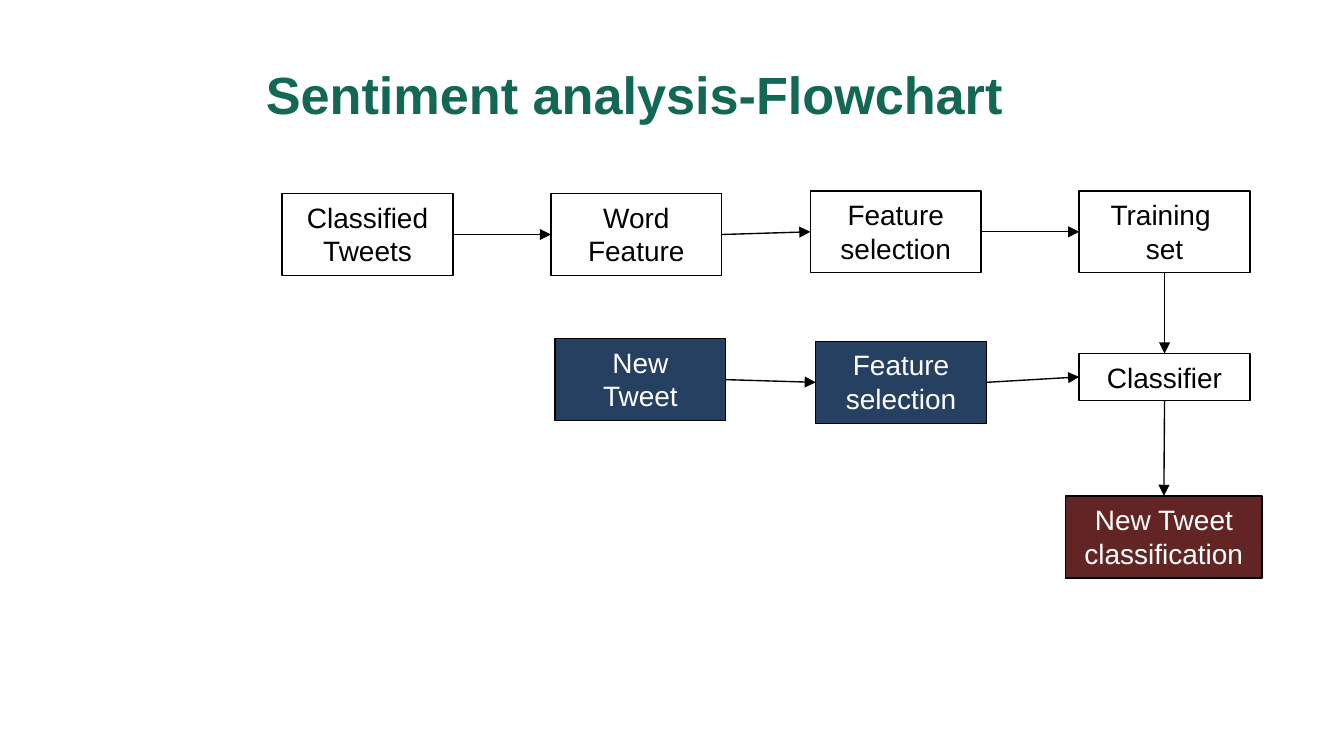
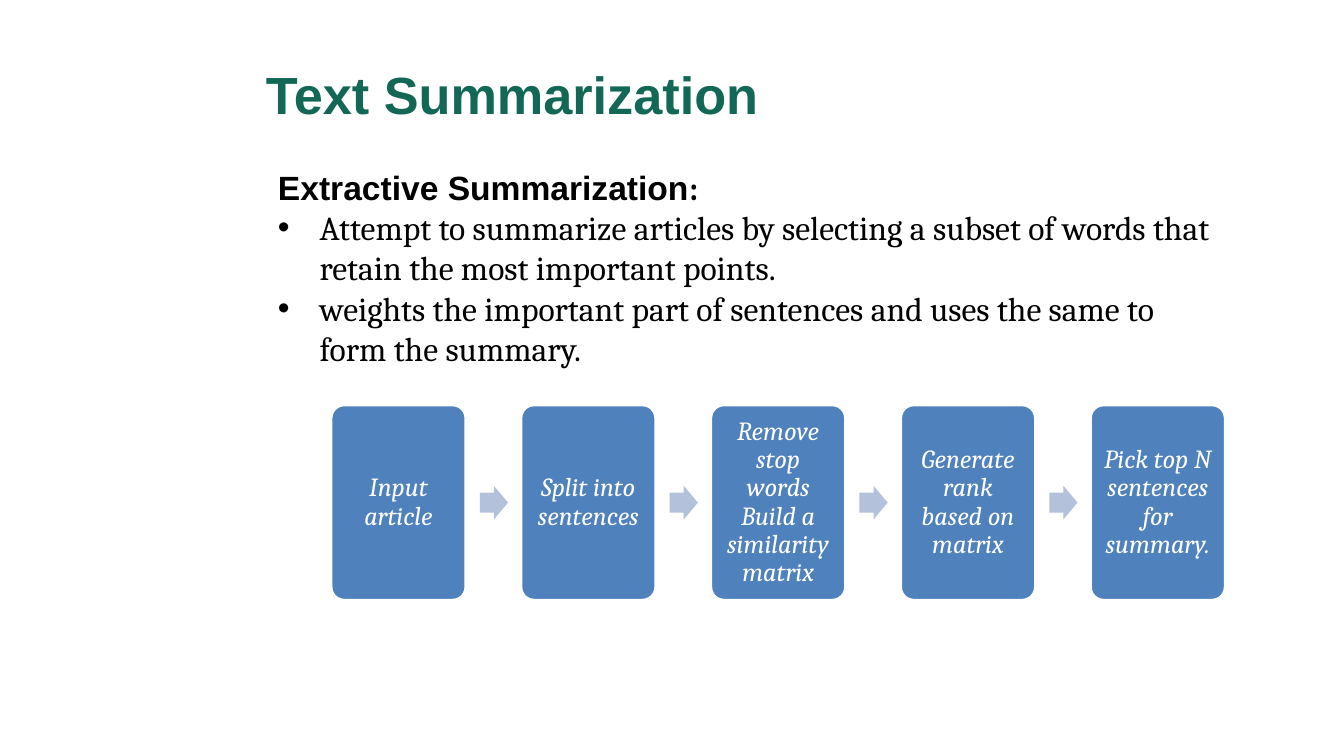
from dataclasses import dataclass
from lxml.etree import SubElement
from pptx import Presentation
from pptx.dml.color import RGBColor
from pptx.enum.shapes import MSO_CONNECTOR, MSO_SHAPE
from pptx.enum.text import MSO_ANCHOR, MSO_AUTO_SIZE, PP_ALIGN
from pptx.oxml.ns import qn
from pptx.util import Inches, Pt


@dataclass(frozen=True)
class Theme:
    green: str = "136855"
    black: str = "000000"
    white: str = "FFFFFF"
    navy: str = "254061"
    wine: str = "632523"
    blue: str = "4F81BD"
    pale: str = "B3C1DB"
    sans: str = "Arial"
    serif: str = "Cambria"
    title: float = 28
    body: float = 18
    node: float = 15
    card: float = 14


T = Theme()
TOP, LEFT, BOTTOM, RIGHT = range(4)


def color(code):
    return RGBColor.from_string(code)


def add_run(para, text, size, font, tint, bold=False, italic=False):
    run = para.add_run()
    run.text = text
    run.font.size = Pt(size)
    run.font.name = font
    run.font.color.rgb = color(tint)
    run.font.bold = bold
    run.font.italic = italic


def next_para(frame, first):
    return frame.paragraphs[0] if first else frame.add_paragraph()


def add_text(slide, box):
    frame = slide.shapes.add_textbox(*map(Inches, box)).text_frame
    frame.word_wrap = True
    return frame


def add_block(slide, kind, box, fill=None, line=None, width=0.75):
    shape = slide.shapes.add_shape(kind, *map(Inches, box))
    shape.shadow.inherit = False
    if fill:
        shape.fill.solid()
        shape.fill.fore_color.rgb = color(fill)
    else:
        shape.fill.background()
    if line:
        shape.line.color.rgb = color(line)
        shape.line.width = Pt(width)
    else:
        shape.line.fill.background()
    return shape


def add_title(slide, text, box=(1.88, 0.23, 7.62, 0.94)):
    frame = add_text(slide, box)
    frame.vertical_anchor = MSO_ANCHOR.MIDDLE
    add_run(frame.paragraphs[0], text, T.title, T.sans, T.green, bold=True)


def add_node(slide, box, lines, fill):
    shape = add_block(slide, MSO_SHAPE.RECTANGLE, box, fill, T.black)
    frame = shape.text_frame
    frame.word_wrap = True
    frame.auto_size = MSO_AUTO_SIZE.SHAPE_TO_FIT_TEXT
    frame.vertical_anchor = MSO_ANCHOR.TOP
    for i, text in enumerate(lines):
        para = next_para(frame, i == 0)
        para.alignment = PP_ALIGN.CENTER
        add_run(para, text, T.node, T.sans, T.white if fill else T.black)
    return shape


def add_link(slide, start, side, end, port):
    link = slide.shapes.add_connector(MSO_CONNECTOR.STRAIGHT, 0, 0, 0, 0)
    link.begin_connect(start, side)
    link.end_connect(end, port)
    link.line.color.rgb = color(T.black)
    link.line.width = Pt(0.75)
    SubElement(link.line._get_or_add_ln(), qn("a:tailEnd"), type="triangle")
    SubElement(link._element.spPr, qn("a:effectLst"))


def add_flow(slide, box):
    left, top, width, height = box
    wide, tall = 1.27, 0.61
    last = width - 1.36
    specs = {
        "tweets": (0, 0.02, wide, tall, ["Classified Tweets"], None),
        "word": (2, 0.02, wide, tall, ["Word Feature"], None),
        "pick": (3.93, 0, wide, tall, ["Feature selection"], None),
        "train": (last, 0, wide, tall, ["Training ", "set"], None),
        "new": (2.03, 1.1, wide, tall, ["New", "Tweet"], T.navy),
        "select": (3.97, 1.12, wide, tall, ["Feature selection"], T.navy),
        "model": (last, 1.21, wide, 0.35, ["Classifier"], None),
        "result": (width - 1.46, height - tall, 1.46, tall,
                   ["New Tweet classification"], T.wine),
    }
    nodes = {
        name: add_node(slide, (left + x, top + y, w, h), lines, fill)
        for name, (x, y, w, h, lines, fill) in specs.items()
    }
    rows = [("tweets", "word", "pick", "train"), ("new", "select", "model")]
    for row in rows:
        for start, end in zip(row, row[1:]):
            add_link(slide, nodes[start], RIGHT, nodes[end], LEFT)
    chain = ("train", "model", "result")
    for start, end in zip(chain, chain[1:]):
        add_link(slide, nodes[start], BOTTOM, nodes[end], TOP)


def add_points(slide, box, head, points):
    frame = add_text(slide, box)
    para = frame.paragraphs[0]
    add_run(para, head, T.body, T.sans, T.black, bold=True)
    add_run(para, ":", T.body, T.serif, T.black, bold=True)
    for text in points:
        para = frame.add_paragraph()
        props = para._p.get_or_add_pPr()
        props.set("marL", str(Inches(0.31)))
        props.set("indent", str(-Inches(0.31)))
        SubElement(props, qn("a:buFont"), typeface=T.sans)
        SubElement(props, qn("a:buChar"), char="•")
        add_run(para, text, T.body, T.serif, T.black)


def add_card(slide, box, text):
    shape = add_block(slide, MSO_SHAPE.ROUNDED_RECTANGLE, box, T.blue, T.white, 2)
    shape.adjustments[0] = 0.1
    frame = shape.text_frame
    frame.word_wrap = True
    frame.vertical_anchor = MSO_ANCHOR.MIDDLE
    frame.margin_left = frame.margin_right = Inches(0.06)
    frame.margin_top = frame.margin_bottom = Inches(0.06)
    para = frame.paragraphs[0]
    para.alignment = PP_ALIGN.CENTER
    para.line_spacing = 0.9
    add_run(para, text, T.card, T.serif, T.white, italic=True)


def add_steps(slide, box, steps):
    left, top, width, height = box
    wide, span, rise = 1.01, 0.21, 0.25
    pitch = (width - wide) / (len(steps) - 1)
    for i, text in enumerate(steps):
        x = left + i * pitch
        add_card(slide, (x, top, wide, height), text)
        if i < len(steps) - 1:
            spot = (x + wide + 0.1, top + (height - rise) / 2, span, rise)
            arrow = add_block(slide, MSO_SHAPE.RIGHT_ARROW, spot, T.pale)
            arrow.adjustments[0] = 0.6
            arrow.adjustments[1] = 0.5


def add_slide(deck, title):
    slide = deck.slides.add_slide(deck.slide_layouts[6])
    add_title(slide, title)
    return slide


def main():
    deck = Presentation()
    deck.slide_width = Inches(10)
    deck.slide_height = Inches(10 * 9 / 16)

    slide = add_slide(deck, "Sentiment analysis-Flowchart")
    add_flow(slide, (2.1, 1.42, 7.29, 2.88))

    slide = add_slide(deck, "Text Summarization")
    add_points(slide, (1.97, 1.19, 7.26, 1.62), "Extractive Summarization", [
        "Attempt to summarize articles by selecting a subset of words that "
        "retain the most important points.",
        "weights the important part of sentences and uses the same to "
        "form the summary.",
    ])
    add_steps(slide, (2.46, 3.01, 6.66, 1.46), [
        "Input article",
        "Split into sentences",
        "Remove stop words Build a similarity matrix",
        "Generate rank based on matrix",
        "Pick top N sentences for summary.",
    ])
    deck.save("out.pptx")


if __name__ == "__main__":
    main()
